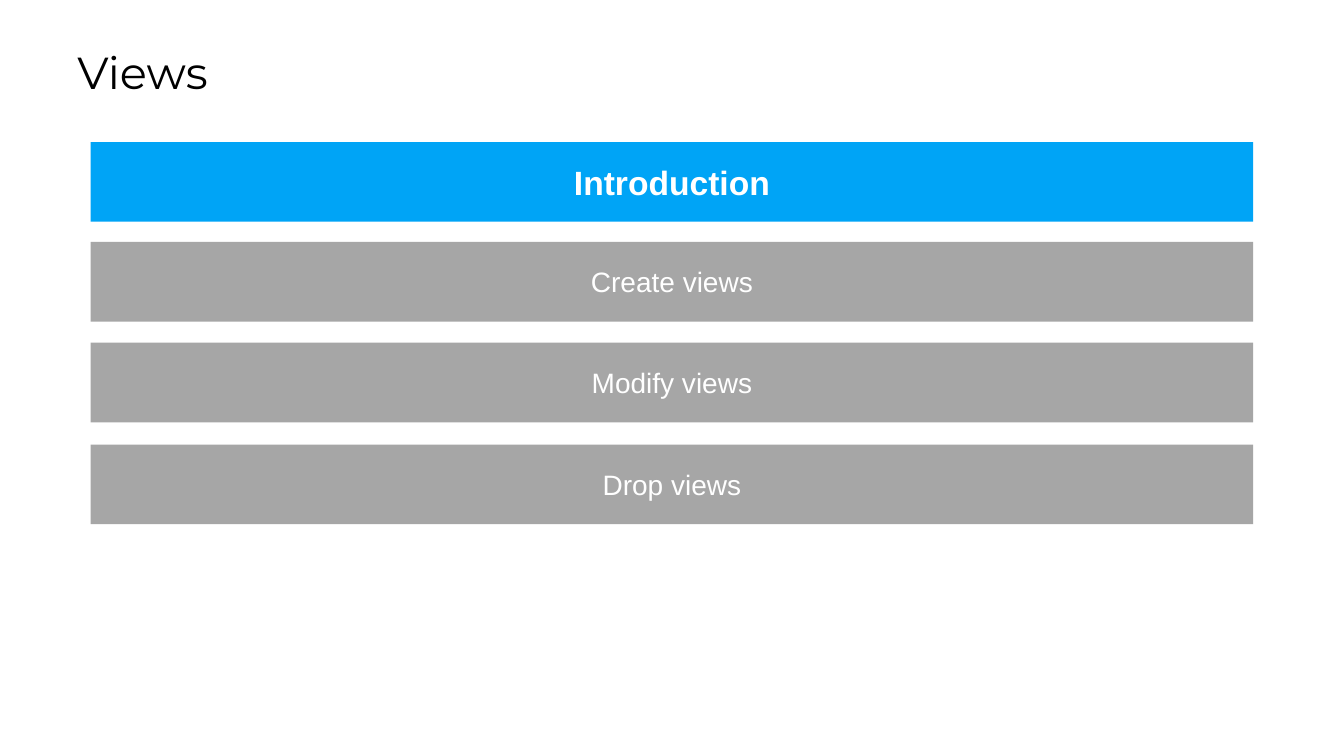
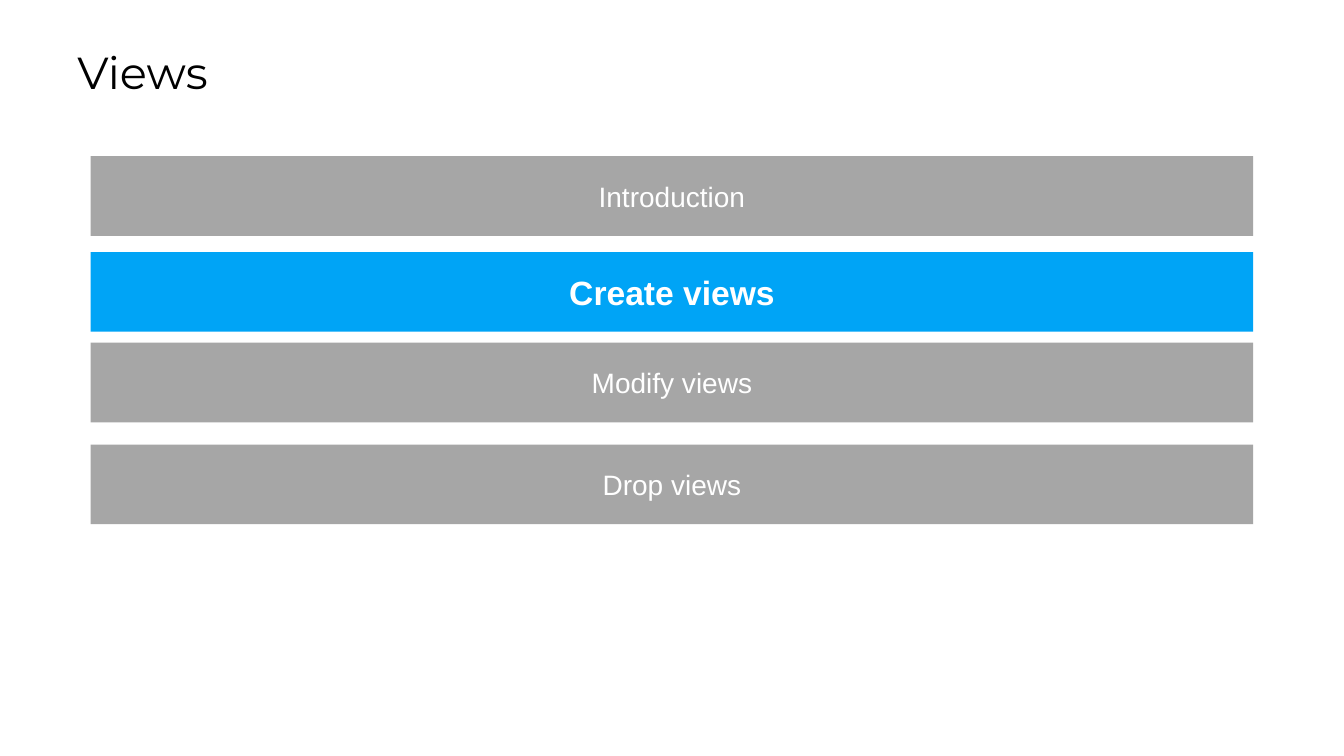
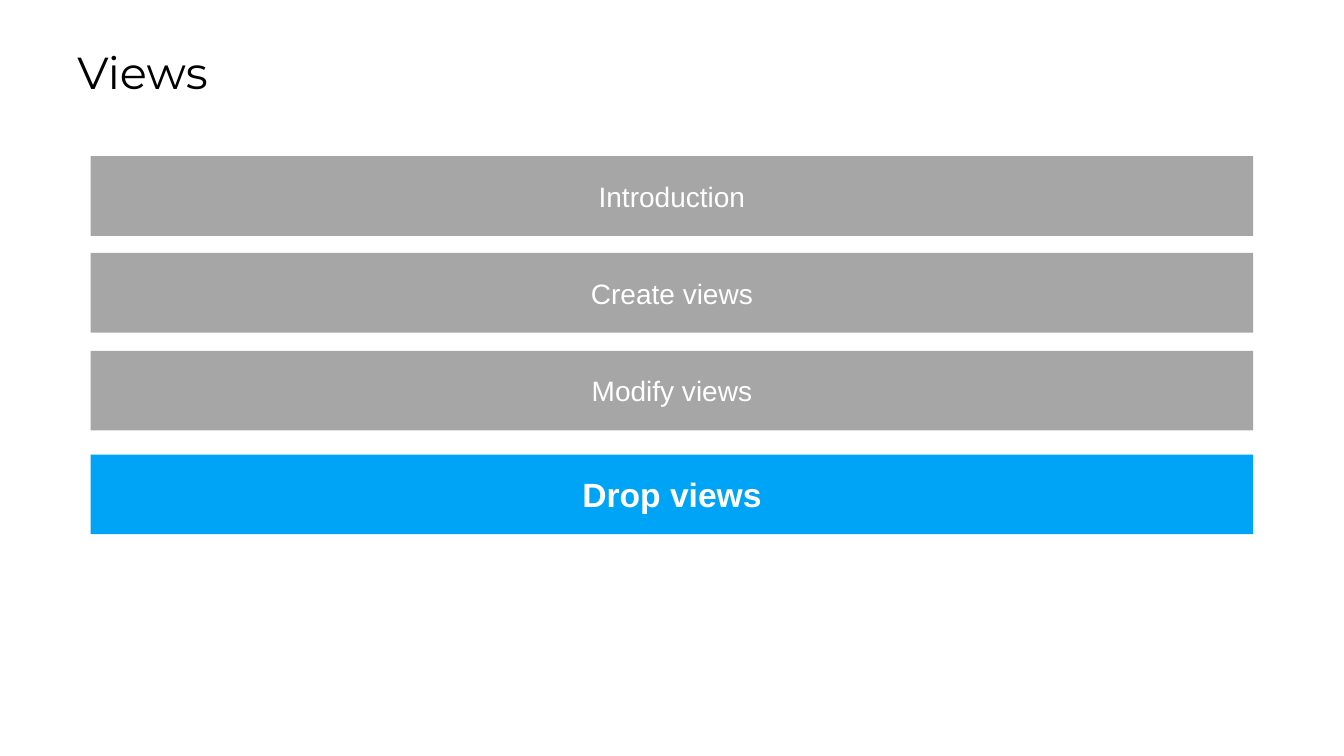
import pptx
import pptx.util
import pptx.dml.color
import pptx.enum.shapes
import pptx.enum.text

PX = 9144  # EMU per px, 100 px to the inch
COLORS = {"title": "000000", "bar": "A6A6A6", "active": "00A4F6", "label": "FFFFFF"}
TOPICS = ["Introduction", "Create views", "Modify views", "Drop views"]
# Active topic and the top of each bar, slide by slide
AGENDAS = [
    (0, [141, 240, 340, 441]),
    (1, [155, 250, 340, 441]),
    (3, [155, 251, 348, 451]),
]


def box(*lengths):
    return [pptx.util.Emu(n * PX) for n in lengths]


def color(name):
    return pptx.dml.color.RGBColor.from_string(COLORS[name])


def write(shape, text, face, size, tint, bold=False):
    """Fill a shape with one line of text, centred vertically."""
    frame = shape.text_frame
    frame.word_wrap = True
    frame.vertical_anchor = pptx.enum.text.MSO_ANCHOR.MIDDLE
    line = frame.paragraphs[0]
    line.text = text
    line.font.name = face
    line.font.size = pptx.util.Pt(size)
    line.font.bold = bold
    line.font.color.rgb = color(tint)
    return line


def add_title(slide, text):
    title = slide.shapes.add_textbox(*box(67, 39, 1206, 64))
    write(title, text, "Montserrat", 32, "title")
    title.text_frame.auto_size = pptx.enum.text.MSO_AUTO_SIZE.SHAPE_TO_FIT_TEXT


def add_bar(slide, top, text, active):
    bar = slide.shapes.add_shape(
        pptx.enum.shapes.MSO_SHAPE.RECTANGLE, *box(90, top, 1153, 79))
    bar.shadow.inherit = False
    bar.fill.solid()
    bar.fill.fore_color.rgb = color("active" if active else "bar")
    bar.line.fill.background()
    label = write(bar, text, "Arial", 24 if active else 20, "label", active)
    label.alignment = pptx.enum.text.PP_ALIGN.CENTER


def main():
    deck = pptx.Presentation()
    deck.slide_width, deck.slide_height = box(1333, 750)
    for current, tops in AGENDAS:
        slide = deck.slides.add_slide(deck.slide_layouts[6])
        add_title(slide, "Views")
        for index, (top, topic) in enumerate(zip(tops, TOPICS)):
            add_bar(slide, top, topic, index == current)
    deck.save("out.pptx")


if __name__ == "__main__":
    main()
